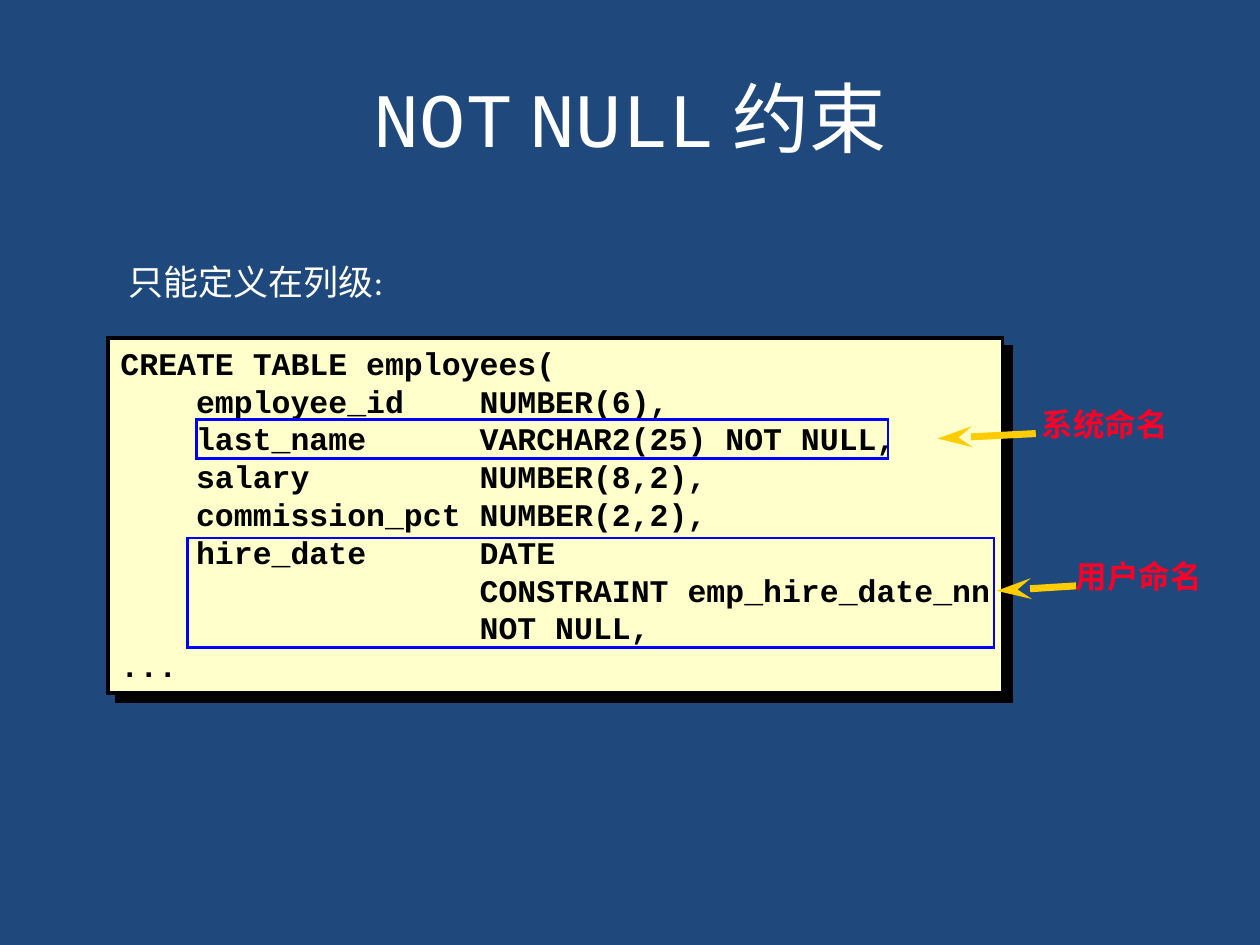
import pptx
import pptx.util
import pptx.oxml
import pptx.dml.color
import pptx.enum.shapes
import pptx.enum.text
from pptx.util import Cm, Pt

NS = 'xmlns:a="http://schemas.openxmlformats.org/drawingml/2006/main"'
ANCHOR = pptx.enum.text.MSO_ANCHOR
WHITE, BLACK, RED = "FFFFFF", "000000", "FC0128"

CODE = """CREATE TABLE employees(
    employee_id    NUMBER(6),
    last_name      VARCHAR2(25) NOT NULL,
    salary         NUMBER(8,2),
    commission_pct NUMBER(2,2),
    hire_date      DATE
                   CONSTRAINT emp_hire_date_nn
                   NOT NULL,
..."""


def color(value):
    return pptx.dml.color.RGBColor.from_string(value)


def format_run(r, font, size, hex_color, bold=False):
    r.font.name = font
    r.font.size = Pt(size)
    r.font.color.rgb = color(hex_color)
    r.font.bold = bold


def add_title(s, parts):
    """Fill the title placeholder from (text, font) parts."""
    sp = s.shapes.title
    sp.left, sp.top, sp.width, sp.height = Cm(1.27), Cm(0.76), Cm(22.86), Cm(3.18)
    tf = sp.text_frame
    tf.vertical_anchor = ANCHOR.MIDDLE
    p = tf.paragraphs[0]
    p.alignment = pptx.enum.text.PP_ALIGN.CENTER
    for text, font in parts:
        r = p.add_run()
        r.text = text
        format_run(r, font, 44, WHITE)


def add_text(shapes, box, text, font, size, hex_color, bold=False,
             spacing=None, anchor=ANCHOR.TOP):
    tf = shapes.add_textbox(*map(Cm, box)).text_frame
    tf.word_wrap = True
    tf.vertical_anchor = anchor
    tf.text = text
    for p in tf.paragraphs:
        p.line_spacing = spacing
        for r in p.runs:
            format_run(r, font, size, hex_color, bold)


def add_box(s, box, line, width, fill=None):
    sp = s.shapes.add_shape(pptx.enum.shapes.MSO_SHAPE.RECTANGLE, *map(Cm, box))
    sp.shadow.inherit = False
    if fill:
        sp.fill.solid()
        sp.fill.fore_color.rgb = color(fill)
    else:
        sp.fill.background()
    sp.line.color.rgb = color(line)
    sp.line.width = Pt(width)
    sp.line._get_or_add_ln().append(
        pptx.oxml.parse_xml(f'<a:miter {NS} lim="800000"/>'))
    return sp


def add_hard_shadow(sp, distance):
    effects = sp._element.spPr.find(pptx.oxml.ns.qn("a:effectLst"))
    effects.append(pptx.oxml.parse_xml(
        f'<a:outerShdw {NS} dist="{Pt(distance)}" dir="2700000" algn="ctr" '
        f'rotWithShape="0"><a:srgbClr val="{BLACK}"/></a:outerShdw>'))


def add_callout(s, box, text, tip, tail):
    """Group a red label with an arrow whose head is at tip."""
    shapes = s.shapes.add_group_shape().shapes
    add_text(shapes, box, text, "Arial", 18, RED, bold=True, spacing=0.9)
    arrow = shapes.add_connector(pptx.enum.shapes.MSO_CONNECTOR.STRAIGHT,
                                 *map(Cm, tip + tail))
    arrow.line.color.rgb = color("FFCC00")
    arrow.line.width = Pt(4)
    arrow.line._get_or_add_ln().append(
        pptx.oxml.parse_xml(f'<a:headEnd {NS} type="stealth" len="lg"/>'))
    arrow._element.spPr.append(pptx.oxml.parse_xml(f"<a:effectLst {NS}/>"))


def main():
    prs = pptx.Presentation()
    prs.slide_width, prs.slide_height = Cm(25.4), Cm(19.05)
    s = prs.slides.add_slide(prs.slide_layouts[5])
    s.background.fill.solid()
    s.background.fill.fore_color.rgb = color("1F497D")

    panel = add_box(s, (2.18, 6.81, 18.03, 7.16), BLACK, 2, "FFFFCC")
    add_hard_shadow(panel, 7.1)
    add_text(s.shapes, (2.18, 6.88, 18.4, 6.96), CODE, "Courier New", 18, BLACK,
             bold=True, spacing=Pt(21.6), anchor=ANCHOR.MIDDLE)
    add_title(s, [("NOT", "Courier New"), (" ", "Calibri"),
                  ("NULL", "Courier New"), (" 约束", "Calibri")])
    add_text(s.shapes, (2.34, 5.13, 20.52, 1.14), "只能定义在列级:",
             "Calibri", 20, WHITE)

    for box in [(3.96, 8.46, 13.94, 0.79), (3.78, 10.85, 16.26, 2.21)]:
        add_box(s, box, "0000FF", 1.5)
    add_callout(s, (20.75, 8.13, 4.24, 0.94), "系统命名",
                (18.9, 8.84), (20.88, 8.74))
    add_callout(s, (21.44, 11.2, 3.53, 0.94), "用户命名",
                (20.09, 11.91), (21.69, 11.81))
    prs.save("out.pptx")


if __name__ == "__main__":
    main()
